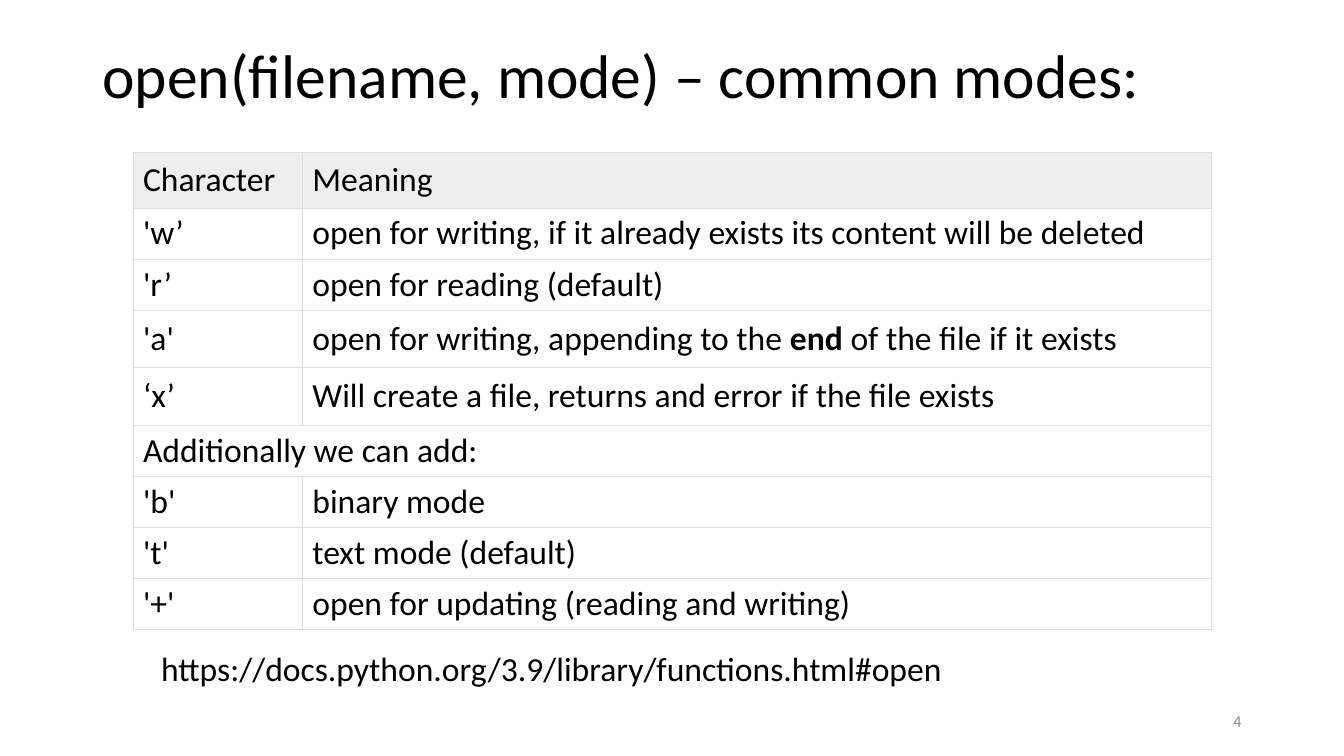
from lxml.etree import SubElement as Sub
from pptx import Presentation
from pptx.dml.color import RGBColor as RGB
from pptx.enum.text import MSO_ANCHOR as Anchor, MSO_AUTO_SIZE as Auto, PP_ALIGN as Align
from pptx.oxml.ns import qn
from pptx.util import Cm, Pt

COLORS = {"text": "000000", "muted": "8C8C8C", "head": "EEEEEE",
          "cell": "FFFFFF", "rule": "DDDDDD"}
BODY = {"name": "Calibri", "size": Pt(24), "bold": False}
COLS = (4.27, 22.91)
LOW, MID, HIGH = 1.21, 1.4, 1.45
ROWS = [
    (MID, "Character", "Meaning"),
    (LOW, "'w’", "open for writing, if it already exists its content will be deleted"),
    (LOW, "'r’", "open for reading (default)"),
    (HIGH, "'a'", "open for writing, appending to the **end** of the file if it exists"),
    (HIGH, "‘x’", "Will create a file, returns and error if the file exists"),
    (LOW, "Additionally we can add:"),
    (LOW, "'b'", "binary mode"),
    (LOW, "'t'", "text mode (default)"),
    (LOW, "'+'", "open for updating (reading and writing)"),
]


def assign(item, values):
    for name, value in values.items():
        setattr(item, name, value)


def write(frame, text, color="text", align=Align.LEFT, **style):
    """Fill a frame's first paragraph; parts between ** are bold."""
    para = frame.paragraphs[0]
    para.alignment = align
    for i, part in enumerate(text.split("**")):
        run = para.add_run()
        run.text = part
        assign(run.font, BODY | style | {"bold": i % 2 == 1})
        run.font.color.rgb = RGB.from_string(COLORS[color])
    return para


def place(shape, left, top, width, height):
    assign(shape, {"left": Cm(left), "top": Cm(top),
                   "width": Cm(width), "height": Cm(height)})


def add_title(slide, text, box):
    title = slide.shapes.title
    place(title, *box)
    assign(title.text_frame, {"vertical_anchor": Anchor.TOP, "word_wrap": True,
                              "auto_size": Auto.NONE})
    write(title.text_frame, text, size=Pt(44)).line_spacing = 0.9


def add_text(slide, text, box, anchor=Anchor.TOP, **style):
    frame = slide.shapes.add_textbox(*map(Cm, box)).text_frame
    assign(frame, {"word_wrap": True, "vertical_anchor": anchor})
    write(frame, text, **style)


def rule_cell(cell):
    """Draw a thin line on all four sides of a cell."""
    props = cell._tc.get_or_add_tcPr()
    for side in ("lnL", "lnR", "lnT", "lnB"):
        line = Sub(props, qn(f"a:{side}"), w=str(Pt(0.5)))
        fill = Sub(line, qn("a:solidFill"))
        Sub(fill, qn("a:srgbClr"), val=COLORS["rule"])


def add_modes(slide, left, top):
    high = sum(row[0] for row in ROWS)
    box = map(Cm, (left, top, sum(COLS), high))
    table = slide.shapes.add_table(len(ROWS), len(COLS), *box).table
    table.horz_banding = False
    for col, width in zip(table.columns, COLS):
        col.width = Cm(width)
    for r, (height, *texts) in enumerate(ROWS):
        table.rows[r].height = Cm(height)
        if len(texts) < len(COLS):
            table.cell(r, 0).merge(table.cell(r, len(COLS) - 1))
        for c in range(len(COLS)):
            cell = table.cell(r, c)
            rule_cell(cell)
            cell.fill.solid()
            cell.fill.fore_color.rgb = RGB.from_string(COLORS["cell" if r else "head"])
            cell.vertical_anchor = Anchor.MIDDLE
            if c < len(texts):
                write(cell.text_frame, texts[c])


def main():
    deck = Presentation()
    assign(deck, {"slide_width": Cm(33.87), "slide_height": Cm(19.05)})
    slide = deck.slides.add_slide(deck.slide_layouts[5])
    add_title(slide, "open(filename, mode) – common modes:", (2.33, 1.01, 29.21, 3.68))
    add_modes(slide, 3.35, 3.84)
    add_text(slide, "4", (23.92, 17.66, 7.62, 1.01), Anchor.MIDDLE,
             color="muted", align=Align.RIGHT, size=Pt(12))
    add_text(slide, "https://docs.python.org/3.9/library/functions.html#open",
             (3.81, 16.2, 22, 1.28))
    deck.save("out.pptx")


if __name__ == "__main__":
    main()
